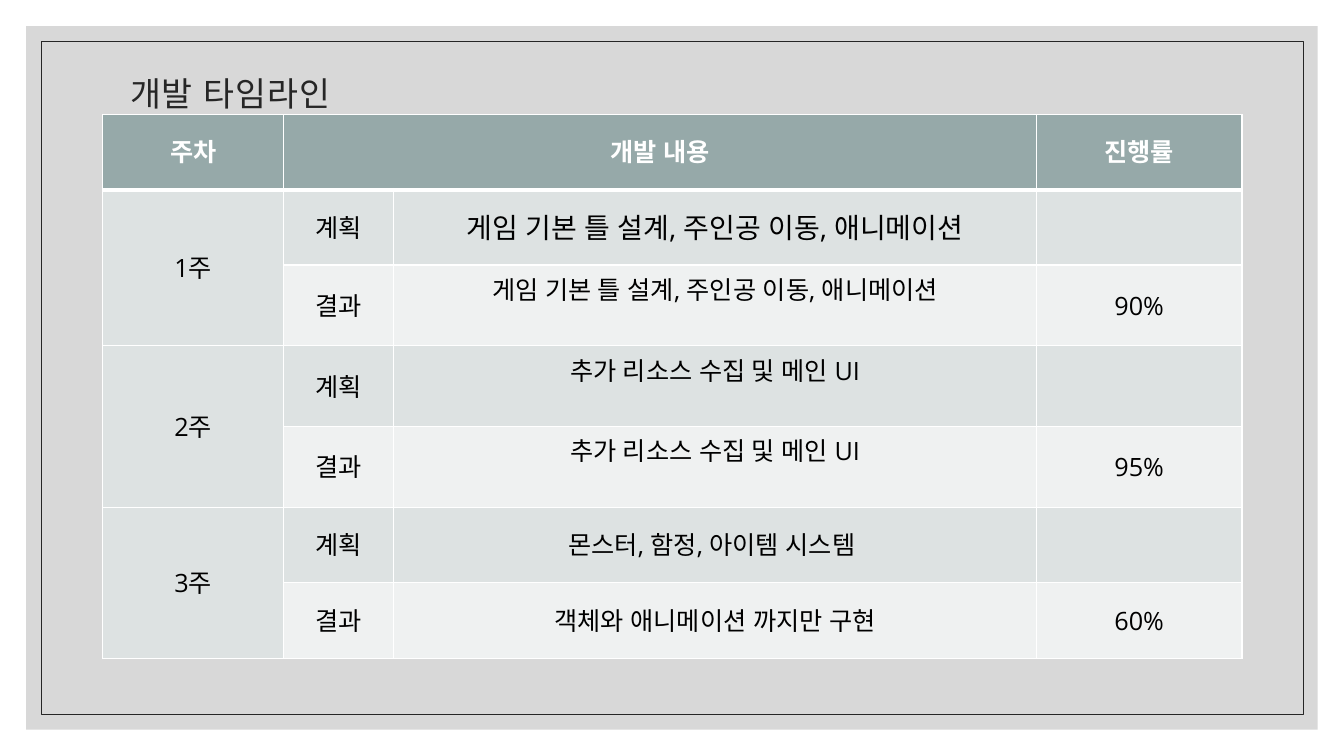
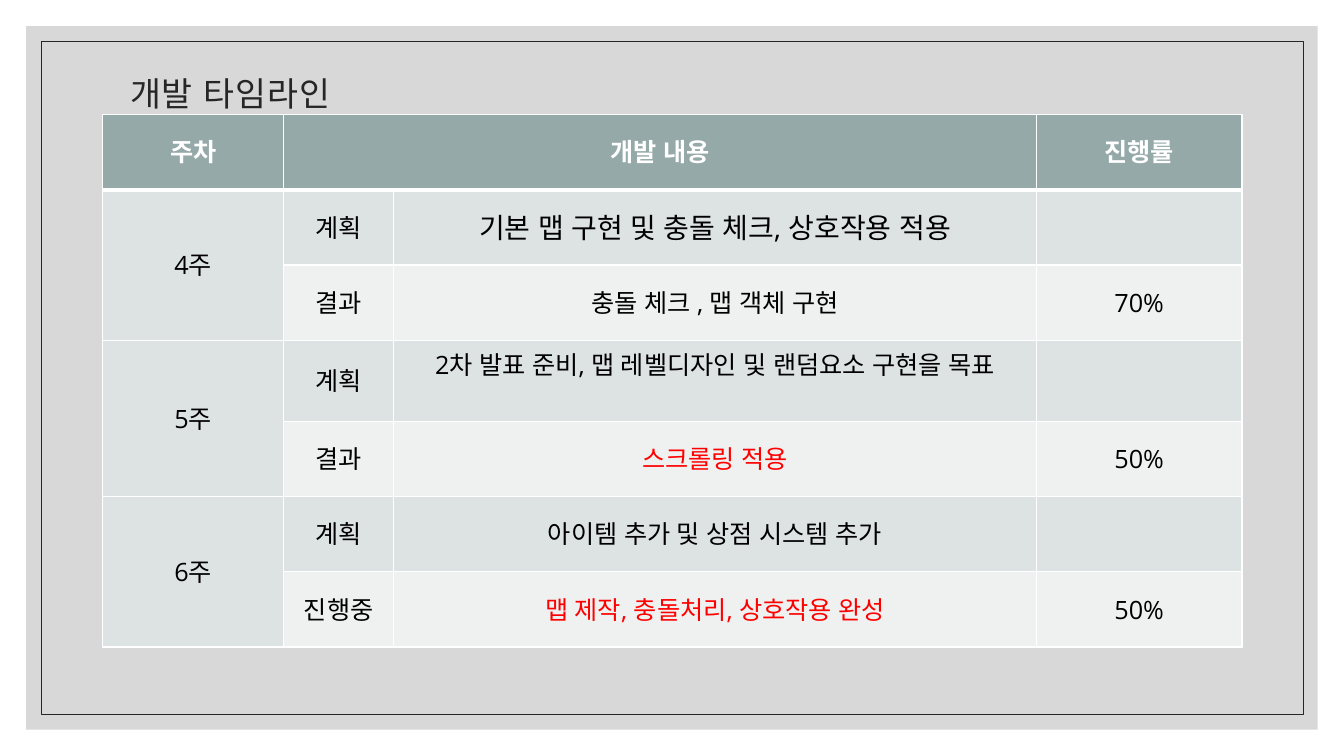
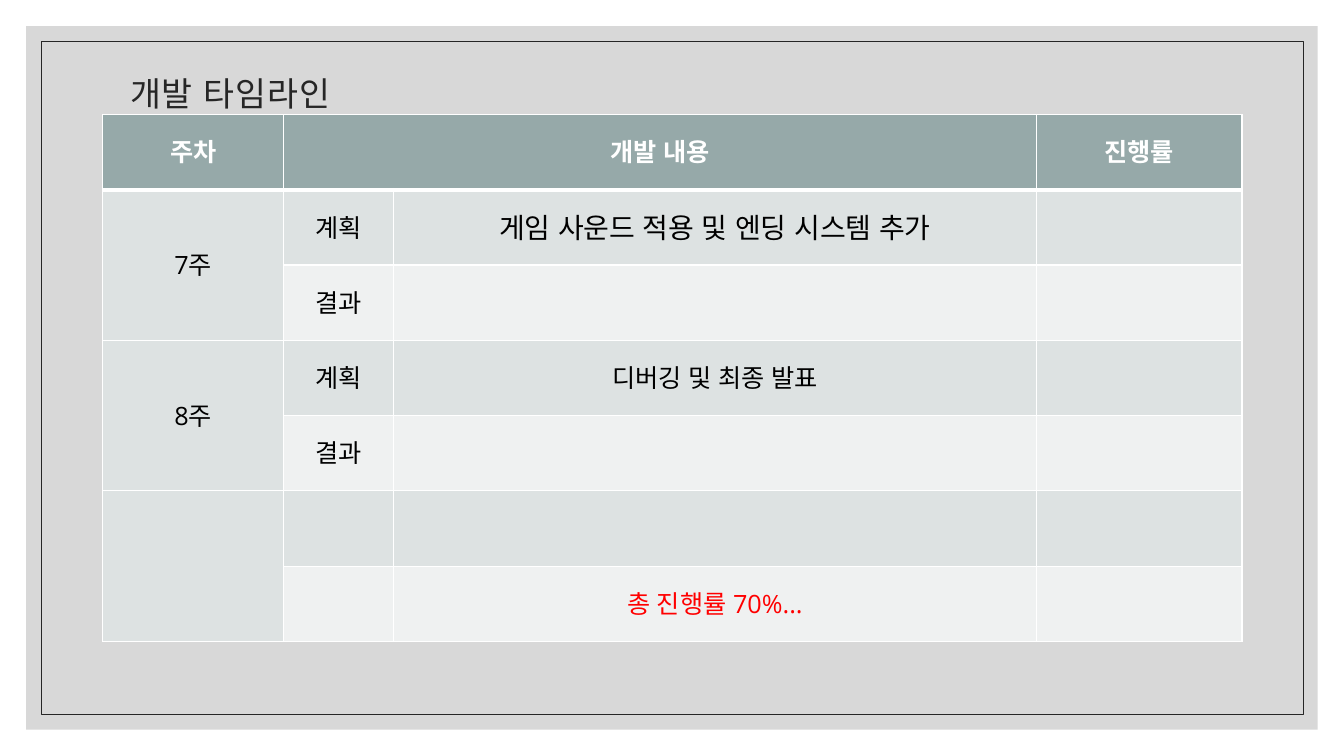
from lxml import etree
from pptx import Presentation
from pptx import util as u
from pptx.dml.color import RGBColor
from pptx.enum import shapes, text
from pptx.oxml.ns import qn

PX = 9525
COLORS = {
    "backdrop": "BFBFBF",
    "ink": "262626",
    "header": "96A9A9",
    "plan": "DDE2E2",
    "result": "EFF1F1",
    "white": "FFFFFF",
    "black": "000000",
    "red": "FF0000",
}
FONT = "Open Sans"
COLUMNS = [172, 105, 612, 196]
HEADINGS = ["주차", "개발 내용", "", "진행률"]
TABLE_HEIGHT = 502
TALL_ROW = 77
TALL_BOTTOM = 35

TIMELINES = [
    [
        ("1주", "계획", "게임 기본 틀 설계, 주인공 이동, 애니메이션", "", ""),
        ("", "결과", "게임 기본 틀 설계, 주인공 이동, 애니메이션", "90%", "tall"),
        ("2주", "계획", "추가 리소스 수집 및 메인 UI", "", "tall"),
        ("", "결과", "추가 리소스 수집 및 메인 UI", "95%", "tall"),
        ("3주", "계획", "몬스터, 함정, 아이템 시스템 ", "", ""),
        ("", "결과", "객체와 애니메이션 까지만 구현", "60%", ""),
    ],
    [
        ("4주", "계획", "기본 맵 구현 및 충돌 체크, 상호작용 적용", "", ""),
        ("", "결과", "충돌 체크 , 맵 객체 구현", "70%", ""),
        ("5주", "계획", "2차 발표 준비, 맵 레벨디자인 및 랜덤요소 구현을 목표", "", "tall"),
        ("", "결과", "스크롤링 적용", "50%", "red"),
        ("6주", "계획", "아이템 추가 및 상점 시스템 추가", "", ""),
        ("", "진행중", "맵 제작, 충돌처리, 상호작용 완성", "50%", "red"),
    ],
    [
        ("7주", "계획", "게임 사운드 적용 및 엔딩 시스템 추가", "", ""),
        ("", "결과", "", "", ""),
        ("8주", "계획", "디버깅 및 최종 발표", "", ""),
        ("", "결과", "", "", ""),
        ("", "", "", "", ""),
        ("", "", "총 진행률 70%...", "", "red"),
    ],
]


def px(*lengths):
    return [u.Emu(length * PX) for length in lengths]


def rgb(name):
    return RGBColor.from_string(COLORS[name])


class TimelineDeck:
    def __init__(self):
        self.deck = Presentation()
        self.deck.slide_width, self.deck.slide_height = px(1280, 720)
        self.page = None

    def add_page(self, title):
        self.page = self.deck.slides.add_slide(self.deck.slide_layouts[6])
        self.panel(25, 25, 1230, 670, fill="backdrop", alpha=60)
        self.panel(39, 39, 1202, 641, line="ink")
        self.title(title)

    def panel(self, left, top, width, height, fill=None, alpha=100, line=None):
        shape = self.page.shapes.add_shape(
            shapes.MSO_SHAPE.RECTANGLE, *px(left, top, width, height))
        shape.shadow.inherit = False
        if fill:
            shape.fill.solid()
            shape.fill.fore_color.rgb = rgb(fill)
            color = shape.fill._xPr.find(".//" + qn("a:srgbClr"))
            etree.SubElement(color, qn("a:alpha"), val=str(alpha * 1000))
        else:
            shape.fill.background()
        if line:
            shape.line.color.rgb = rgb(line)
            shape.line.width = u.Pt(0.5)
        else:
            shape.line.fill.background()

    def style(self, para, size, color, bold=False):
        for span in para.runs:
            span.font.size = u.Pt(size)
            span.font.bold = bold
            span.font.color.rgb = rgb(color)
            span.font.name = FONT
            etree.SubElement(span.font._element, qn("a:ea"), typeface=FONT)

    def title(self, words):
        box = self.page.shapes.add_textbox(*px(112, 67, 1056, 40))
        frame = box.text_frame
        frame.word_wrap = True
        frame.vertical_anchor = text.MSO_ANCHOR.MIDDLE
        (frame.margin_left, frame.margin_top,
         frame.margin_right, frame.margin_bottom) = px(12, 12, 12, 10)
        frame.text = words
        para = frame.paragraphs[0]
        para.line_spacing = 1.05
        self.style(para, 24, "ink")
        para.runs[0].font._element.set("spc", "70")

    def borders(self, cell, top, bottom):
        properties = cell._tc.get_or_add_tcPr()
        sides = {"L": 1, "R": 1, "T": top, "B": bottom}
        for index, (side, width) in enumerate(sides.items()):
            line = etree.Element(qn("a:ln" + side), w=str(u.Pt(width)))
            fill = etree.SubElement(line, qn("a:solidFill"))
            etree.SubElement(fill, qn("a:srgbClr"), val=COLORS["white"])
            properties.insert(index, line)

    def cell(self, cell, words, fill, size=18, color="black", bold=False):
        cell.fill.solid()
        cell.fill.fore_color.rgb = rgb(fill)
        cell.vertical_anchor = text.MSO_ANCHOR.MIDDLE
        if words:
            cell.text_frame.text = words
        para = cell.text_frame.paragraphs[0]
        para.alignment = text.PP_ALIGN.CENTER
        self.style(para, size, color, bold)

    def timeline(self, entries):
        count = len(entries) + 1
        table = self.page.shapes.add_table(
            count, len(COLUMNS), *px(98, 109, sum(COLUMNS), TABLE_HEIGHT)).table
        table.first_row = table.horz_banding = False
        for column, width in zip(table.columns, px(*COLUMNS)):
            column.width = width
        for column, words in enumerate(HEADINGS):
            cell = table.cell(0, column)
            self.cell(cell, words, "header", color="white", bold=True)
            self.borders(cell, 1, 3)
        table.cell(0, 1).merge(table.cell(0, 2))
        for row, (*words, mark) in enumerate(entries, 1):
            if mark == "tall":
                table.rows[row].height = px(TALL_ROW)[0]
                table.cell(row, 2).margin_bottom = px(TALL_BOTTOM)[0]
            for column, label in enumerate(words):
                cell = table.cell(row, column)
                content = column == 2
                self.cell(cell, label,
                          "plan" if row % 2 or column == 0 else "result",
                          size=20 if content and row == 1 else 18,
                          color="red" if content and mark == "red" else "black")
                self.borders(cell, 3 if row == 1 else 1, 1)
        for row in range(1, count, 2):
            table.cell(row, 0).merge(table.cell(row + 1, 0))


def main():
    timeline_deck = TimelineDeck()
    for entries in TIMELINES:
        timeline_deck.add_page("개발 타임라인")
        timeline_deck.timeline(entries)
    timeline_deck.deck.save("out.pptx")


if __name__ == "__main__":
    main()
